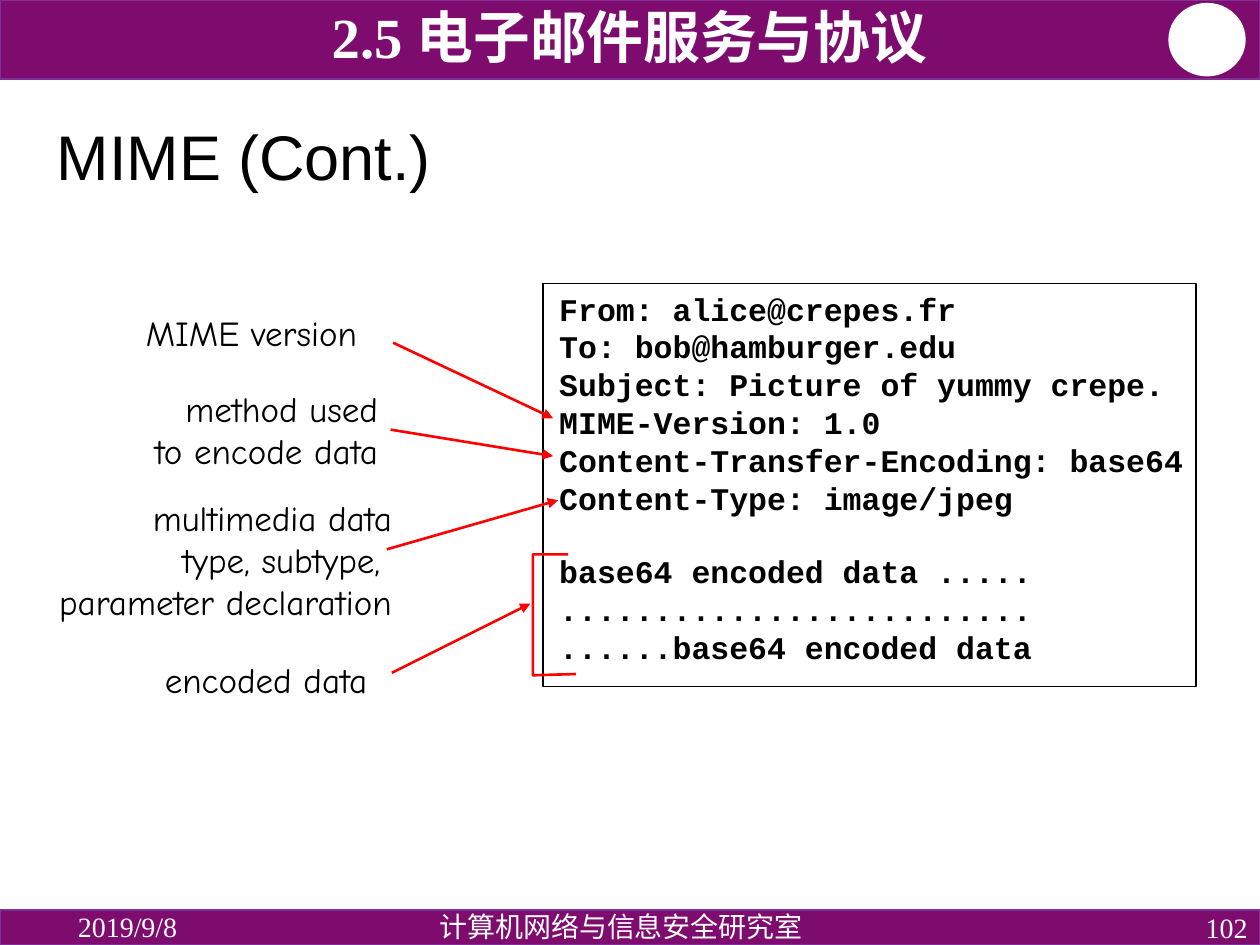
from dataclasses import dataclass

import pptx
import pptx.util
import pptx.dml.color
import pptx.enum.shapes
import pptx.enum.text
import pptx.oxml
import pptx.oxml.ns

COLORS = {"purple": "7E0C6E", "edge": "7F2F95", "white": "FFFFFF",
          "black": "000000", "red": "FF0000"}
ALIGN = pptx.enum.text.PP_ALIGN
ANCHOR = pptx.enum.text.MSO_ANCHOR
SHAPE = pptx.enum.shapes.MSO_SHAPE

# The slide is a grid of 100 columns by 75 rows of square cells
COLUMNS, ROWS = 100, 75
CELL = pptx.util.Inches(0.1)

Box = tuple[float, float, float, float]
Point = tuple[float, float]


@dataclass
class TextStyle:
    font: str
    size: float
    color: str = "black"
    bold: bool = False
    align: ALIGN = ALIGN.LEFT
    anchor: ANCHOR = ANCHOR.TOP
    line_spacing: float = 1.0
    wrap: bool = True


@dataclass
class Note:
    lines: list[str]
    box: Box
    align: ALIGN
    arrow_start: Point
    arrow_end: Point


def cells(*values: float) -> list[int]:
    return [round(value * CELL) for value in values]


def rgb(name: str) -> pptx.dml.color.RGBColor:
    return pptx.dml.color.RGBColor.from_string(COLORS[name])


def apply(target, values: dict) -> None:
    for name, value in values.items():
        setattr(target, name, value)


def write(shape, lines: list[str], style: TextStyle) -> None:
    frame = shape.text_frame
    apply(frame, {"text": "\n".join(lines), "word_wrap": style.wrap,
                  "vertical_anchor": style.anchor})
    for paragraph in frame.paragraphs:
        apply(paragraph, {"alignment": style.align,
                          "line_spacing": style.line_spacing})
        apply(paragraph.font, {"name": style.font, "bold": style.bold,
                               "size": pptx.util.Pt(style.size)})
        paragraph.font.color.rgb = rgb(style.color)


def add_text(slide, box: Box, lines: list[str], style: TextStyle):
    shape = slide.shapes.add_textbox(*cells(*box))
    write(shape, lines, style)
    return shape


def set_line(shape, color: str, width: float) -> None:
    shape.line.color.rgb = rgb(color)
    shape.line.width = pptx.util.Pt(width)


def add_block(slide, kind: SHAPE, box: Box, fill: str | None, edge: str):
    shape = slide.shapes.add_shape(kind, *cells(*box))
    shape.shadow.inherit = False
    if fill:
        shape.fill.solid()
        shape.fill.fore_color.rgb = rgb(fill)
    else:
        shape.fill.background()
    set_line(shape, edge, 1)
    return shape


def add_arrow(slide, start: Point, end: Point) -> None:
    arrow = slide.shapes.add_connector(
        pptx.enum.shapes.MSO_CONNECTOR.STRAIGHT, *cells(*start, *end))
    set_line(arrow, "red", 1.5)
    namespace = pptx.oxml.ns.nsdecls("a")
    arrow.line._get_or_add_ln().append(
        pptx.oxml.parse_xml(f'<a:tailEnd {namespace} type="triangle"/>'))
    arrow._element.spPr.append(
        pptx.oxml.parse_xml(f"<a:effectLst {namespace}/>"))


def add_bracket(slide, points: list[Point]) -> None:
    start, *others = [cells(*point) for point in points]
    builder = slide.shapes.build_freeform(*start)
    builder.add_line_segments(others, close=False)
    bracket = builder.convert_to_shape()
    bracket.shadow.inherit = False
    bracket.fill.background()
    set_line(bracket, "red", 1.5)


def add_bands(slide) -> None:
    add_block(slide, SHAPE.RECTANGLE, (0, 0, COLUMNS, 6.3), "purple", "edge")
    add_block(slide, SHAPE.OVAL, (92.8, 0.3, 6, 5.7), "white", "white")
    add_block(slide, SHAPE.RECTANGLE, (0, 72.2, COLUMNS, ROWS - 72.2),
              "purple", "edge")
    serif = {"font": "Times New Roman", "color": "white"}
    add_text(slide, (7.2, 0.4, 85.5, 5.6), ["2.5 电子邮件服务与协议"],
             TextStyle(**serif, size=32.4, bold=True, align=ALIGN.CENTER,
                       anchor=ANCHOR.BOTTOM, line_spacing=0.8))
    add_text(slide, (5.2, 72.2, 22.5, 2.6), ["2019/9/8"],
             TextStyle(**serif, size=16, anchor=ANCHOR.MIDDLE))
    add_text(slide, (26.9, 72, 44.8, 2.8), ["计算机网络与信息安全研究室"],
             TextStyle(**serif, size=16, align=ALIGN.CENTER,
                       line_spacing=0.9))
    add_text(slide, (77.5, 72.2, 22.5, 2.8), ["102"],
             TextStyle(**serif, size=16, align=ALIGN.RIGHT,
                       anchor=ANCHOR.MIDDLE))


def add_message(slide) -> None:
    headers = ["From: alice@crepes.fr",
               "To: bob@hamburger.edu",
               "Subject: Picture of yummy crepe.",
               "MIME-Version: 1.0",
               "Content-Transfer-Encoding: base64",
               "Content-Type: image/jpeg"]
    body = ["base64 encoded data .....",
            ".........................",
            "......base64 encoded data"]
    message = add_text(slide, (43.4, 22.5, 54.4, 34), headers + body,
                       TextStyle("Courier New", 18, bold=True))
    # One line of space parts the headers from the body
    first_body_line = message.text_frame.paragraphs[len(headers)]
    first_body_line.space_before = pptx.util.Pt(20.4)
    add_block(slide, SHAPE.RECTANGLE, (43.1, 22.5, 51.8, 32), None, "black")


NOTES = [
    Note(["MIME version"], (10.6, 24.2, 20.3, 4.3), ALIGN.LEFT,
         (31.2, 27.2), (43.9, 33.2)),
    Note(["method used", "to encode data"], (9.8, 30.3, 21.2, 7.7),
         ALIGN.RIGHT, (31, 34.1), (43.9, 36.2)),
    Note(["multimedia data", "type, subtype, ", "parameter declaration"],
         (1.2, 38.9, 30.9, 11), ALIGN.RIGHT, (30.7, 43.6), (44.3, 39.7)),
    Note(["encoded data"], (12.1, 51.8, 19.3, 4.3), ALIGN.LEFT,
         (31.1, 53.4), (42.1, 47.9)),
]


def main() -> None:
    presentation = pptx.Presentation()
    apply(presentation, {"slide_width": COLUMNS * CELL,
                         "slide_height": ROWS * CELL})
    slide = presentation.slides.add_slide(presentation.slide_layouts[5])

    # Header and footer bands
    add_bands(slide)

    # Title
    title = slide.shapes.title
    left, top, width, height = cells(3.5, 6.8, 94, 11.8)
    apply(title, {"left": left, "top": top, "width": width, "height": height})
    write(title, ["MIME (Cont.)"],
          TextStyle("Arial", 36, anchor=ANCHOR.MIDDLE, line_spacing=0.9))

    # Mail message with its annotations
    add_message(slide)
    for note in NOTES:
        add_text(slide, note.box, note.lines,
                 TextStyle("Comic Neue", 20, align=note.align, wrap=False))
        add_arrow(slide, note.arrow_start, note.arrow_end)
    add_bracket(slide, [(45.1, 44), (42.3, 44), (42.3, 53.6), (45.7, 53.5)])

    presentation.save("out.pptx")


if __name__ == "__main__":
    main()
